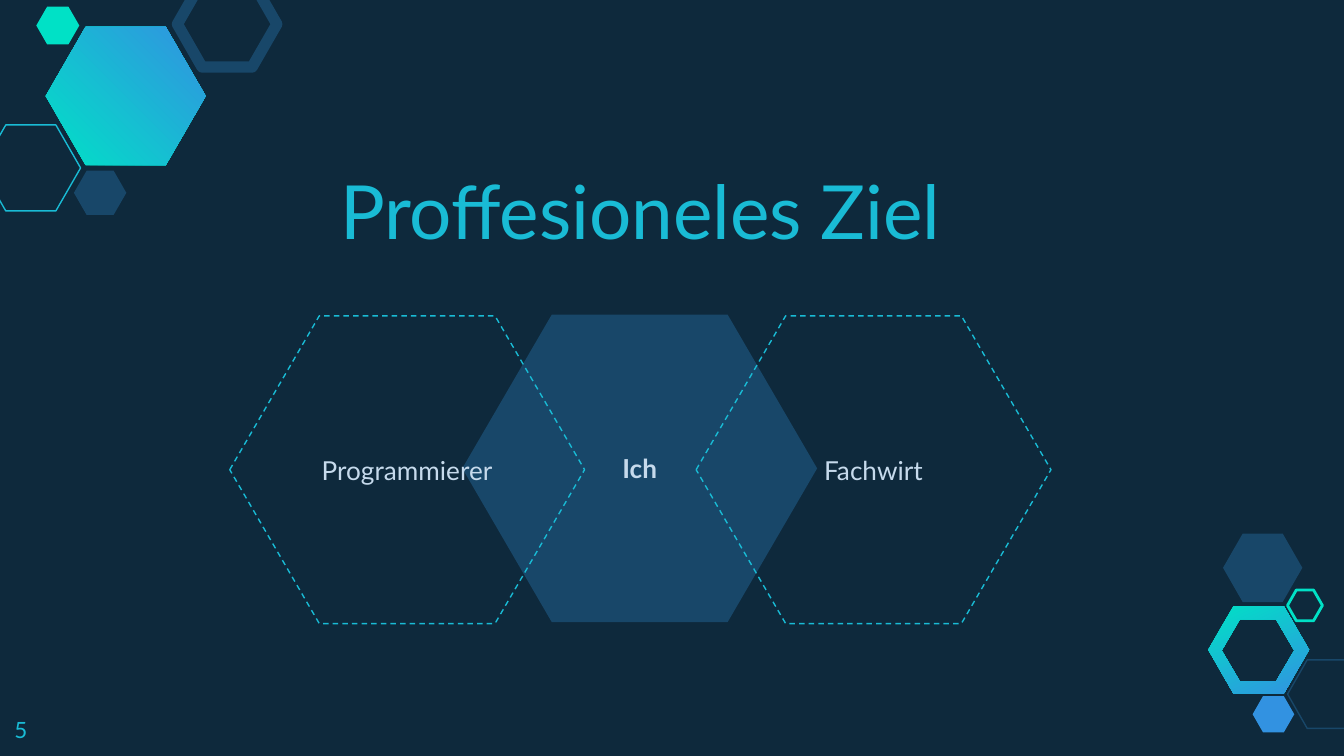
from pptx import Presentation
from pptx.dml.color import RGBColor
from pptx.enum import dml, shapes, text
from pptx.util import Inches, Pt

NIGHT = RGBColor(0x0E, 0x29, 0x3C)
NAVY = RGBColor(0x18, 0x47, 0x69)
CYAN = RGBColor(0x19, 0xBB, 0xD5)
MINT = RGBColor(0x00, 0xE1, 0xC6)
BLUE = RGBColor(0x32, 0x92, 0xE1)
PALE = RGBColor(0xC6, 0xDA, 0xEC)
FONT = "Lato"


def hexagon(s, x, y, w, h, fill=None, line=None, weight=0.75, adj=0.287):
    """Add a preset hexagon, filled or outlined."""
    sp = s.shapes.add_shape(shapes.MSO_SHAPE.HEXAGON,
                            Inches(x), Inches(y), Inches(w), Inches(h))
    sp.shadow.inherit = False
    sp.adjustments[0] = adj
    if fill is None:
        sp.fill.background()
    else:
        sp.fill.solid()
        sp.fill.fore_color.rgb = fill
    if line is None:
        sp.line.fill.background()
    else:
        sp.line.color.rgb = line
        sp.line.width = Pt(weight)
    return sp


def hex_points(x, y, w, h):
    """Return the corners of a regular hexagon in a box."""
    corners = [(0, 0.5), (0.25, 0), (0.75, 0), (1, 0.5), (0.75, 1), (0.25, 1)]
    return [(Inches(x + w * a), Inches(y + h * b)) for a, b in corners]


def gradient_hexagon(s, box, angle, hole=None):
    """Add a mint-to-blue hexagon, with a hexagonal hole if one is given."""
    outer = hex_points(*box)
    builder = s.shapes.build_freeform(*outer[0], scale=1.0)
    builder.add_line_segments(outer[1:])
    if hole:
        inner = hex_points(*hole)[::-1]
        builder.move_to(*inner[0])
        builder.add_line_segments(inner[1:])
    sp = builder.convert_to_shape()
    sp.shadow.inherit = False
    sp.line.fill.background()
    sp.fill.gradient()
    sp.fill.gradient_angle = angle
    for stop, color in zip(sp.fill.gradient_stops, (MINT, BLUE)):
        stop.color.rgb = color


def write(sp, words, size, color, align, anchor, bold=False):
    """Put one styled line of text into a shape."""
    tf = sp.text_frame
    tf.word_wrap = True
    tf.vertical_anchor = anchor
    tf.margin_left = tf.margin_right = Inches(0.1)
    tf.margin_top = tf.margin_bottom = Inches(0.1)
    p = tf.paragraphs[0]
    p.text = words
    p.alignment = align
    p.font.name, p.font.size, p.font.bold = FONT, Pt(size), bold
    p.font.color.rgb = color


def label(s, x, y, w, h, *style):
    """Add a text box."""
    sp = s.shapes.add_textbox(Inches(x), Inches(y), Inches(w), Inches(h))
    write(sp, *style)


def top_left_cluster(s, x, y):
    """Draw the hexagons around the large one, whose box starts at x, y."""
    gradient_hexagon(s, (x, y, 1.19, 1.03), 45)
    hexagon(s, x - 0.48, y + 0.73, 0.74, 0.64, line=CYAN)
    hexagon(s, x + 0.21, y + 1.07, 0.39, 0.33, fill=NAVY)
    hexagon(s, x + 0.98, y - 0.34, 0.74, 0.64, line=NAVY, weight=6)
    hexagon(s, x - 0.07, y - 0.15, 0.32, 0.28, fill=MINT)


def bottom_right_cluster(s, x, y):
    """Draw the hexagons around the ring, whose box starts at x, y."""
    gradient_hexagon(s, (x, y, 0.75, 0.65), 296,
                     hole=(x + 0.1, y + 0.1, 0.54, 0.46))
    hexagon(s, x + 0.59, y + 0.4, 0.59, 0.51, line=NAVY)
    hexagon(s, x + 0.33, y + 0.67, 0.31, 0.27, fill=BLUE)
    hexagon(s, x + 0.11, y - 0.54, 0.59, 0.51, fill=NAVY)
    hexagon(s, x + 0.59, y - 0.12, 0.26, 0.23, line=MINT, weight=1.5)


def overlap_diagram(s, x, y):
    """Draw the filled centre hexagon and the two dashed ones over it."""
    w, h, adj = 2.64, 2.29, 0.291
    style = (14, PALE, text.PP_ALIGN.CENTER, text.MSO_ANCHOR.MIDDLE)
    centre = hexagon(s, x + 1.73, y, w, h, fill=NAVY, adj=adj)
    write(centre, "Ich", *style, bold=True)
    for dx, words in ((0, "Programmierer"), (3.47, "Fachwirt")):
        sp = hexagon(s, x + dx, y + 0.01, w, h, line=CYAN, adj=adj)
        sp.line.dash_style = dml.MSO_LINE.DASH
        write(sp, words, *style)


def goal_slide(prs):
    """Build the slide about the professional goal."""
    s = prs.slides.add_slide(prs.slide_layouts[6])
    s.background.fill.solid()
    s.background.fill.fore_color.rgb = NIGHT
    bottom_right_cluster(s, 8.99, 4.51)
    top_left_cluster(s, 0.34, 0.2)
    label(s, 2.06, 1.28, 5.41, 0.71, "Proffesioneles Ziel", 40, CYAN,
          text.PP_ALIGN.CENTER, text.MSO_ANCHOR.BOTTOM)
    overlap_diagram(s, 1.71, 2.34)
    label(s, 0.01, 5.23, 0.6, 0.39, "5", 12, CYAN,
          text.PP_ALIGN.LEFT, text.MSO_ANCHOR.TOP)


prs = Presentation()
prs.slide_width = Inches(10)
prs.slide_height = prs.slide_width * 9 // 16
goal_slide(prs)
prs.save("out.pptx")
